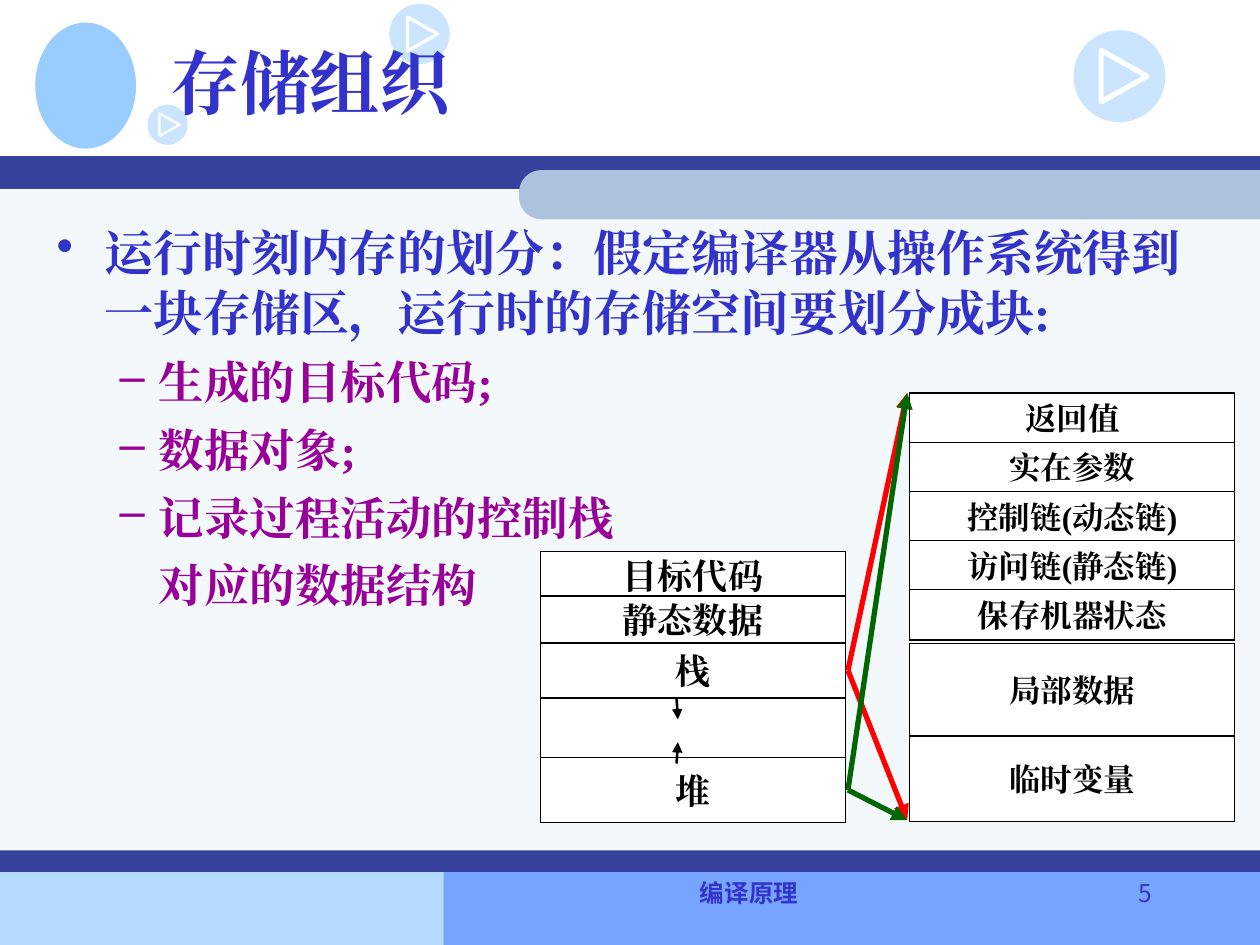
from lxml import etree
from pptx import Presentation
from pptx.dml.color import RGBColor
from pptx.enum.shapes import MSO_CONNECTOR, MSO_SHAPE
from pptx.enum.text import MSO_ANCHOR, MSO_AUTO_SIZE, PP_ALIGN
from pptx.oxml.ns import qn
from pptx.util import Inches, Pt

RECT, OVAL = MSO_SHAPE.RECTANGLE, MSO_SHAPE.OVAL
HALF_ROUND = MSO_SHAPE.ROUND_2_SAME_RECTANGLE
STRAIGHT = MSO_CONNECTOR.STRAIGHT
TOP, MIDDLE = MSO_ANCHOR.TOP, MSO_ANCHOR.MIDDLE
LEFT, CENTER, RIGHT = PP_ALIGN.LEFT, PP_ALIGN.CENTER, PP_ALIGN.RIGHT
FIXED = MSO_AUTO_SIZE.NONE
SERIF, SANS = "Times New Roman", "Noto Sans CJK KR"
BLUE, PURPLE, NAVY, SKY = "3333CC", "990099", "36429B", "99CCFF"
WHITE, BLACK, RED, GREEN = "FFFFFF", "000000", "FF0000", "006600"


def color(value):
    return RGBColor.from_string(value)


class StorageSlide:
    """Holds the current slide and draws its elements in one style."""

    def __init__(self, slide):
        self.slide = slide
        self.shapes = slide.shapes

    def block(self, left, top, width, height, fill, kind=RECT, alpha=None):
        shape = self.shapes.add_shape(
            kind, Inches(left), Inches(top), Inches(width), Inches(height))
        shape.shadow.inherit = False
        shape.fill.solid()
        shape.fill.fore_color.rgb = color(fill)
        shape.line.fill.background()
        if alpha:
            tint = shape._element.spPr.find(qn("a:solidFill"))[0]
            etree.SubElement(tint, qn("a:alpha"), val=str(alpha * 1000))
        return shape

    def badge(self, left, top, size):
        self.block(left, top, size, size, SKY, OVAL, alpha=50)
        corners = [(Inches(left + x * size), Inches(top + y * size))
                   for x, y in ((0.3, 0.22), (0.8, 0.5), (0.3, 0.78))]
        builder = self.shapes.build_freeform(*corners[0])
        builder.add_line_segments(corners[1:], close=True)
        play = builder.convert_to_shape()
        play.shadow.inherit = False
        play.fill.background()
        play.line.color.rgb = color(WHITE)
        play.line.width = Pt(round(4 * size, 1))

    def label(self, paragraph, text, size, ink, font=SERIF, bold=True, align=LEFT):
        paragraph.alignment = align
        run = paragraph.add_run()
        run.text = text
        style = {"name": font, "size": Pt(size), "bold": bold}
        for key, value in style.items():
            setattr(run.font, key, value)
        run.font.color.rgb = color(ink)
        etree.SubElement(run._r.get_or_add_rPr(), qn("a:ea"), typeface=font)

    def frame(self, shape, anchor=TOP):
        layout = {"word_wrap": True, "auto_size": FIXED, "vertical_anchor": anchor,
                  "margin_left": Inches(0.1), "margin_right": Inches(0.1),
                  "margin_top": Inches(0.05), "margin_bottom": Inches(0.05)}
        for key, value in layout.items():
            setattr(shape.text_frame, key, value)
        return shape.text_frame

    def title(self, text, left, top, width, height):
        heading = self.shapes.title
        place = {"left": left, "top": top, "width": width, "height": height}
        for key, value in place.items():
            setattr(heading, key, Inches(value))
        self.label(self.frame(heading, MIDDLE).paragraphs[0], text, 40, BLUE)
        self.shapes._spTree.append(heading._element)

    def text_box(self, left, top, width, height):
        return self.frame(self.shapes.add_textbox(
            Inches(left), Inches(top), Inches(width), Inches(height)))

    def outline(self, items, *place):
        body = self.text_box(*place)
        for i, (text, size, ink, margin, hang, bullet) in enumerate(items):
            paragraph = body.add_paragraph() if i else body.paragraphs[0]
            paragraph.space_before = Pt(size / 4)
            paragraph.line_spacing = 1.03
            props = paragraph._p.get_or_add_pPr()
            props.set("marL", str(Inches(margin)))
            props.set("indent", str(-Inches(hang)))
            if bullet:
                tint = etree.SubElement(props, qn("a:buClr"))
                etree.SubElement(tint, qn("a:srgbClr"), val=ink)
                etree.SubElement(props, qn("a:buChar"), char=bullet)
            self.label(paragraph, text, size, ink)

    def memory(self, left, width, size, cells):
        for text, top, height in cells:
            cell = self.block(left, top, width, height, WHITE)
            cell.line.color.rgb = color(BLACK)
            cell.line.width = Pt(0.75)
            if text:
                self.label(self.frame(cell, MIDDLE).paragraphs[0], text, size,
                           BLACK, align=CENTER)

    def arrow(self, start, end, ink, weight):
        line = self.shapes.add_connector(
            STRAIGHT, *(Inches(value) for value in (*start, *end)))
        line.line.color.rgb = color(ink)
        line.line.width = Pt(weight)
        etree.SubElement(line.line._get_or_add_ln(), qn("a:tailEnd"), type="triangle")
        etree.SubElement(line._element.spPr, qn("a:effectLst"))


def main():
    deck = Presentation()
    deck.slide_width, deck.slide_height = Inches(10), Inches(7.5)
    page = StorageSlide(deck.slides.add_slide(deck.slide_layouts[5]))

    for band in ((0, 6.92, 4.25, 0.58, "B5DAFF"), (3.52, 6.91, 6.48, 0.59, "77A4FF"),
                 (0, 1.4, 10, 5.51, "F3F8FB"), (0, 1.24, 10, 0.26, NAVY),
                 (0, 6.75, 10, 0.17, NAVY)):
        page.block(*band)
    tab_length, tab_height = 5.88, 0.39
    tab = page.block(4.12 + (tab_length - tab_height) / 2,
                     1.35 - (tab_length - tab_height) / 2,
                     tab_height, tab_length, "ADC3DD", HALF_ROUND)
    tab.rotation = 270
    tab.adjustments[0] = 0.45
    page.block(0.28, 0.18, 0.8, 1, SKY, OVAL)
    for badge in ((3.09, 0.03, 0.48), (8.52, 0.24, 0.73), (1.17, 0.83, 0.32)):
        page.badge(*badge)

    page.title("存储组织", 1.25, 0.06, 8.5, 1.17)
    point = (26, PURPLE, 0.81, 0.31, "–")
    page.outline([
        ("运行时刻内存的划分：假定编译器从操作系统得到一块存储区，运行时的存储空间要划分成块:",
         28, BLUE, 0.38, 0.38, "•"),
        ("生成的目标代码;", *point),
        ("数据对象;", *point),
        ("记录过程活动的控制栈", *point),
        ("对应的数据结构", 26, PURPLE, 0.81, 0, None),
    ], 0.35, 1.7, 9.45, 4.76)

    page.memory(4.29, 2.42, 20, [
        ("目标代码", 4.38, 0.37), ("静态数据", 4.73, 0.37), ("栈", 5.11, 0.43),
        ("", 5.54, 0.52), ("堆", 6.01, 0.52)])
    for start, end in ((5.54, 5.71), (6.06, 5.89)):
        page.arrow((5.37, start), (5.38, end), BLACK, 1.5)

    fields = ("返回值", "实在参数", "控制链(动态链)", "访问链(静态链)", "保存机器状态")
    record = [(field, 3.12 + 0.39 * i, 0.4) for i, field in enumerate(fields)]
    record += [("局部数据", 5.11, 0.73), ("临时变量", 5.84, 0.68)]
    page.memory(7.22, 2.58, 18, record)
    for source, ink in ((5.32, RED), (6.27, GREEN)):
        for target in (3.12, 6.51):
            page.arrow((6.73, source), (7.2, target), ink, 3)

    course = page.text_box(3.42, 6.92, 5.05, 0.5)
    page.label(course.paragraphs[0], "编译原理", 14, BLUE, SANS, align=CENTER)
    number = page.text_box(8.46, 6.92, 0.78, 0.5)
    page.label(number.paragraphs[0], "5", 14, BLUE, SANS, bold=False, align=RIGHT)
    deck.save("out.pptx")


if __name__ == "__main__":
    main()
